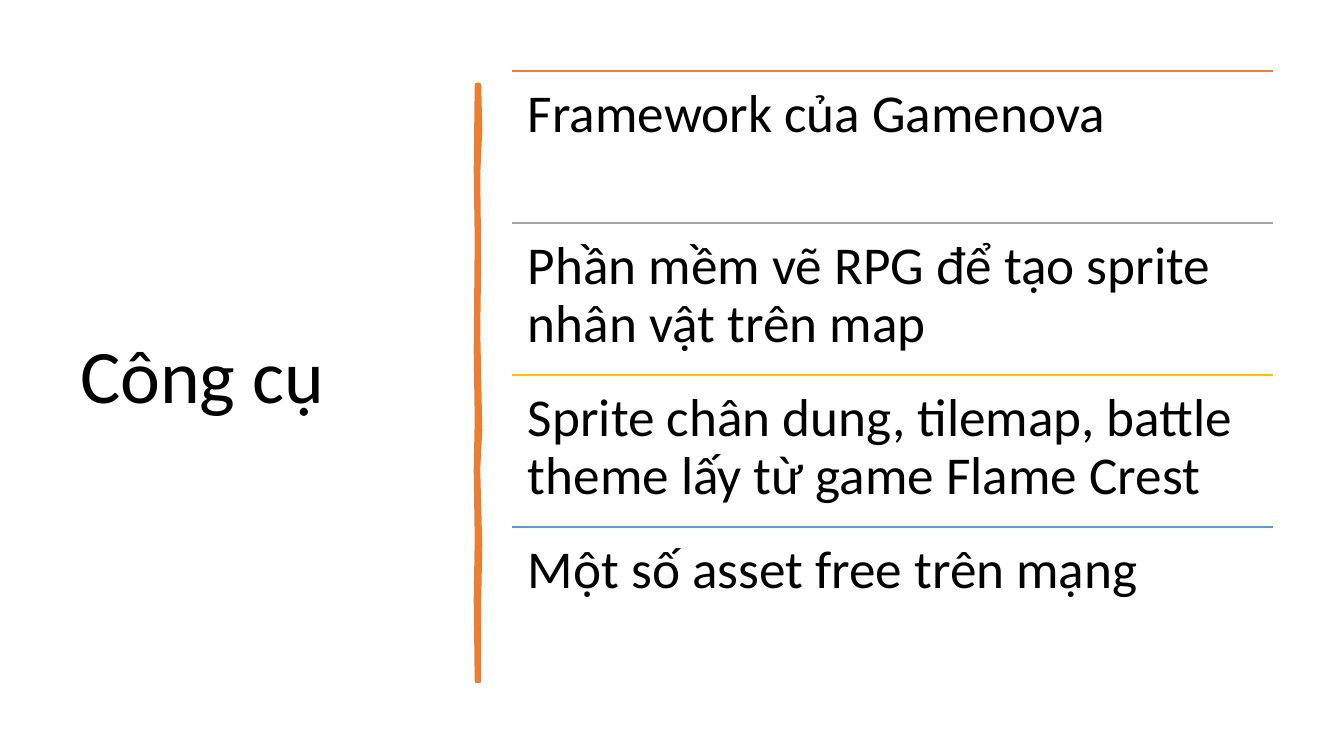
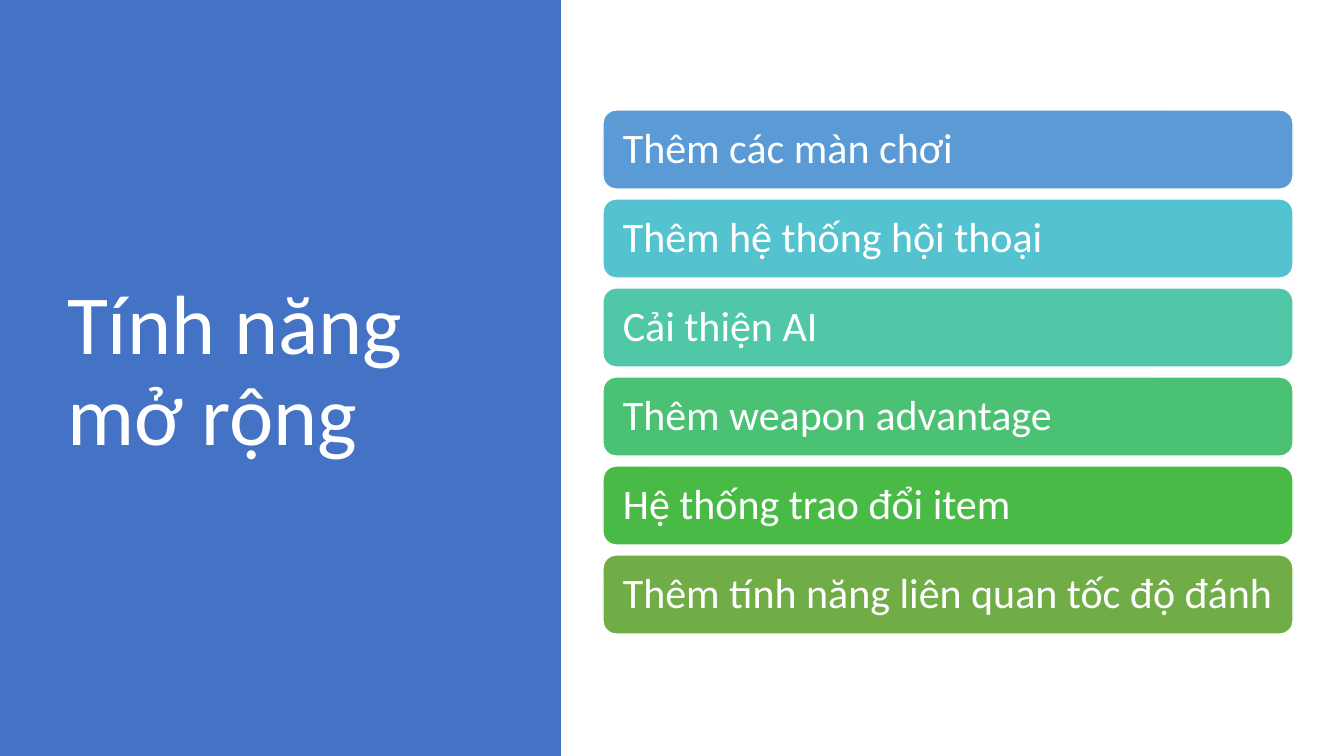
import pptx
import pptx.util
import pptx.dml.color
import pptx.enum.shapes
import pptx.enum.text
import pptx.oxml.ns
import lxml.etree

RGB = pptx.dml.color.RGBColor
SHAPE = pptx.enum.shapes.MSO_SHAPE
ANCHOR = pptx.enum.text.MSO_ANCHOR
ALIGN = pptx.enum.text.PP_ALIGN

BLACK = RGB(0x00, 0x00, 0x00)
WHITE = RGB(0xFF, 0xFF, 0xFF)
BLUE = RGB(0x44, 0x72, 0xC4)
ORANGE = RGB(0xED, 0x7D, 0x31)
GRAY = RGB(0xA5, 0xA5, 0xA5)
GOLD = RGB(0xFF, 0xC0, 0x00)
SKY = RGB(0x5B, 0x9B, 0xD5)
AQUA = RGB(0x55, 0xC3, 0xCF)
TEAL = RGB(0x50, 0xC8, 0xA7)
MINT = RGB(0x4B, 0xC1, 0x74)
GREEN = RGB(0x4A, 0xBA, 0x46)
OLIVE = RGB(0x70, 0xAD, 0x47)

FONT = "Calibri"
SCALE = 914400 / 100.8
WIDE, HIGH = 1344, 756

TOOLS = [
    ("Framework của Gamenova", ORANGE),
    ("Phần mềm vẽ RPG để tạo sprite nhân vật trên map", GRAY),
    ("Sprite chân dung, tilemap, battle theme lấy từ game Flame Crest", GOLD),
    ("Một số asset free trên mạng", SKY),
]
PLANS = [
    ("Thêm các màn chơi", SKY),
    ("Thêm hệ thống hội thoại", AQUA),
    ("Cải thiện AI", TEAL),
    ("Thêm weapon advantage", MINT),
    ("Hệ thống trao đổi item", GREEN),
    ("Thêm tính năng liên quan tốc độ đánh", OLIVE),
]
STROKE = [
    (479, 85), (480, 130), (478, 175), (479, 260), (478, 330), (480, 430),
    (478, 470), (480, 545), (479, 600), (479, 681),
    (477, 681), (476, 600), (477, 540), (476, 470), (477, 420), (476, 350),
    (477, 240), (476, 170), (477, 85),
]


def px(num):
    return pptx.util.Emu(round(num * SCALE))


def write(shape, text, size=30, color=BLACK, anchor=ANCHOR.MIDDLE, inset=None):
    frame = shape.text_frame
    frame.word_wrap = True
    frame.auto_size = pptx.enum.text.MSO_AUTO_SIZE.NONE
    frame.vertical_anchor = anchor
    if inset is not None:
        frame.margin_left = frame.margin_right = px(inset)
        frame.margin_top = frame.margin_bottom = px(inset)
    frame.text = text
    para = frame.paragraphs[0]
    para.alignment = ALIGN.LEFT
    para.line_spacing = 0.9
    font = para.runs[0].font
    font.name, font.size = FONT, pptx.util.Pt(size)
    font.color.rgb = color


class Deck:
    def __init__(self):
        self.file = pptx.Presentation()
        self.file.slide_width, self.file.slide_height = px(WIDE), px(HIGH)
        self.slide = None

    def start(self, title, box, **style):
        """Add a slide with its title in box."""
        self.slide = self.file.slides.add_slide(self.file.slide_layouts[5])
        head = self.slide.shapes.title
        head.left, head.top, head.width, head.height = map(px, box)
        write(head, title, **style)

    def paint(self, shape, fill, line=None, width=1):
        shape.shadow.inherit = False
        shape.fill.solid()
        shape.fill.fore_color.rgb = fill
        if line is None:
            shape.line.fill.background()
        else:
            shape.line.color.rgb = line
            shape.line.width = pptx.util.Pt(width)

    def panel(self, box, fill):
        """Add a plain rectangle behind everything else."""
        shape = self.slide.shapes.add_shape(SHAPE.RECTANGLE, *map(px, box))
        self.paint(shape, fill)
        shape.element.getparent().insert(2, shape.element)

    def bar(self, box, text, fill, **style):
        shape = self.slide.shapes.add_shape(SHAPE.ROUNDED_RECTANGLE, *map(px, box))
        self.paint(shape, fill, WHITE)
        write(shape, text, **style)

    def label(self, box, text, **style):
        write(self.slide.shapes.add_textbox(*map(px, box)), text, **style)

    def rule(self, left, top, width, color):
        kind = pptx.enum.shapes.MSO_CONNECTOR.STRAIGHT
        line = self.slide.shapes.add_connector(
            kind, px(left), px(top), px(left + width), px(top))
        line.line.color.rgb = color
        line.line.width = pptx.util.Pt(1)
        tag = pptx.oxml.ns.qn("a:effectLst")
        lxml.etree.SubElement(line.element.spPr, tag)

    def brush(self, points, color):
        """Add a closed outline with a thick line, like a brush stroke."""
        path = self.slide.shapes.build_freeform(*points[0], scale=SCALE)
        path.add_line_segments(points[1:], close=True)
        self.paint(path.convert_to_shape(), color, color, 3.25)


def tools(deck):
    deck.start("Công cụ", (70, 71, 377, 616), size=54)
    deck.brush(STROKE, ORANGE)
    left, width, step = 512, 761, 152
    for row, (text, color) in enumerate(TOOLS):
        top = 71 + row * step
        deck.rule(left, top, width, color)
        deck.label((left, top, width, step), text,
                   size=38, anchor=ANCHOR.TOP, inset=16)


def plans(deck):
    deck.start("Tính năng mở rộng", (57, 69, 419, 607), size=60, color=WHITE)
    deck.panel((0, 0, 561, HIGH), BLUE)
    for row, (text, color) in enumerate(PLANS):
        deck.bar((603, 110 + row * 89, 690, 79), text, color,
                 color=WHITE, inset=16)


def main():
    deck = Deck()
    tools(deck)
    plans(deck)
    deck.file.save("out.pptx")


if __name__ == "__main__":
    main()
